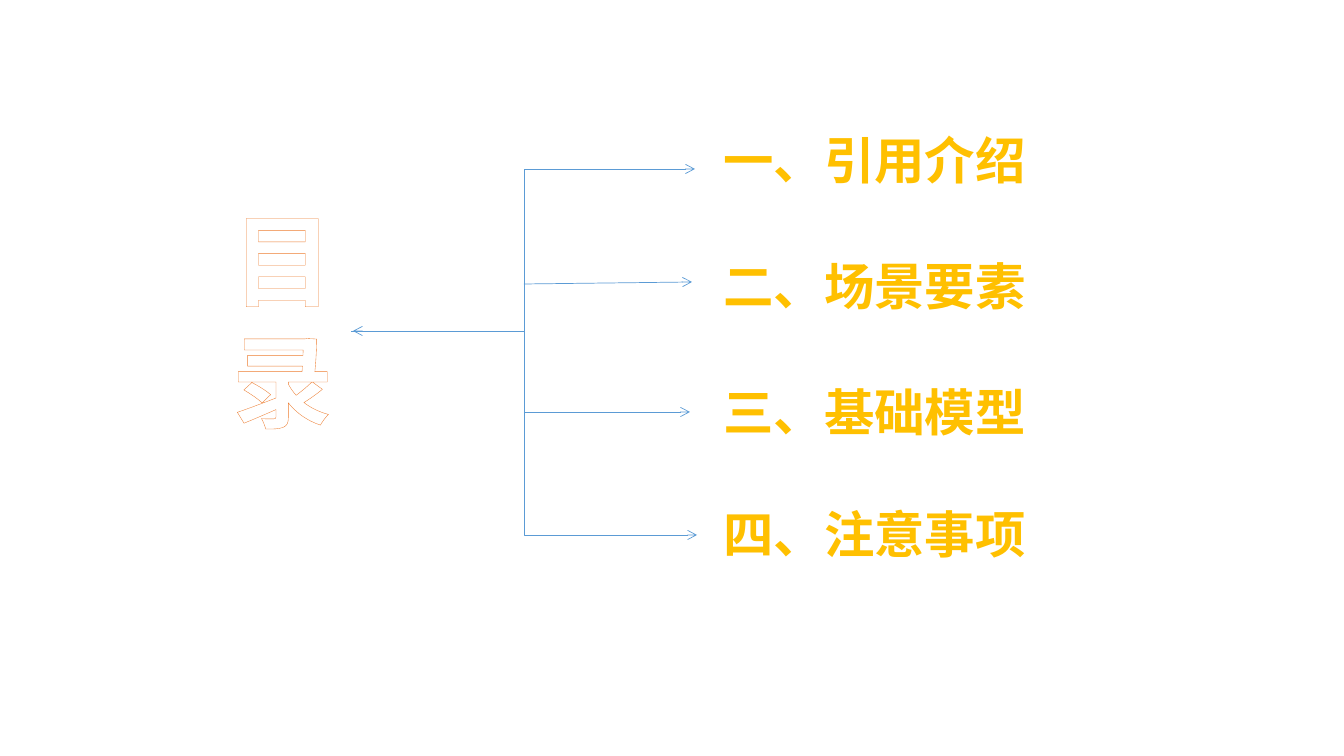
import pptx
import pptx.dml.color
import pptx.enum.shapes
import pptx.enum.text
import pptx.oxml
import pptx.oxml.ns
import pptx.util

PX = 914400 / 100.8
BLUE = pptx.dml.color.RGBColor(0x5B, 0x9B, 0xD5)
GOLD = pptx.dml.color.RGBColor(0xFF, 0xC0, 0x00)
ORANGE = pptx.dml.color.RGBColor(0xED, 0x7D, 0x31)
WHITE = pptx.dml.color.RGBColor(0xFF, 0xFF, 0xFF)

ELBOW = pptx.enum.shapes.MSO_CONNECTOR.ELBOW
STRAIGHT = pptx.enum.shapes.MSO_CONNECTOR.STRAIGHT

FRAME_FORMAT = {
    "word_wrap": False,
    "auto_size": pptx.enum.text.MSO_AUTO_SIZE.SHAPE_TO_FIT_TEXT,
}
TITLE_FONT = {"name": "Calibri", "size": pptx.util.Pt(72), "bold": True}
CHAPTER_FONT = {"name": "Calibri", "size": pptx.util.Pt(36), "bold": True}

TITLE_BOX = (222, 193, 121, 254)
CHAPTER_LEFT, CHAPTER_WIDTH, CHAPTER_HEIGHT = 713, 323, 72
CHAPTERS = [
    ("一、引用介绍", 124),
    ("二、场景要素", 250),
    ("三、基础模型", 376),
    ("四、注意事项", 498),
]

# kind, start x, start y, end x, end y, arrowheads
BRANCHES = [
    (ELBOW, 353, 331, 695, 169, ("headEnd", "tailEnd")),
    (STRAIGHT, 524, 284, 692, 282, ("tailEnd",)),
    (ELBOW, 351, 331, 697, 535, ("tailEnd",)),
    (STRAIGHT, 524, 412, 690, 412, ("tailEnd",)),
]


def emu(*lengths):
    return [pptx.util.Emu(round(length * PX)) for length in lengths]


def apply_format(target, values):
    for attribute, value in values.items():
        setattr(target, attribute, value)


def add_text(slide, box, lines, font_format, color):
    """Add a centred text box with one paragraph per line; return its runs."""
    frame = slide.shapes.add_textbox(*emu(*box)).text_frame
    apply_format(frame, FRAME_FORMAT)
    frame.text = "\n".join(lines)
    runs = []
    for paragraph in frame.paragraphs:
        paragraph.alignment = pptx.enum.text.PP_ALIGN.CENTER
        run = paragraph.runs[0]
        apply_format(run.font, font_format)
        run.font.color.rgb = color
        runs.append(run)
    return runs


def outline_text(run, color, width):
    outline = pptx.oxml.parse_xml(
        f'<a:ln {pptx.oxml.ns.nsdecls("a")} w="{pptx.util.Pt(width)}">'
        f'<a:solidFill><a:srgbClr val="{color}"/></a:solidFill></a:ln>'
    )
    run.font.fill  # rPr exists by now; the outline must precede its fill
    run._r.get_or_add_rPr().insert(0, outline)


def add_branch(slide, kind, start_x, start_y, end_x, end_y, arrowheads):
    branch = slide.shapes.add_connector(kind, *emu(start_x, start_y, end_x, end_y))
    apply_format(branch.line, {"width": pptx.util.Pt(0.5)})
    branch.line.color.rgb = BLUE
    line = branch.line._get_or_add_ln()
    for arrowhead in arrowheads:
        pptx.oxml.ns.qn("a:ln")
        line.append(pptx.oxml.parse_xml(
            f'<a:{arrowhead} {pptx.oxml.ns.nsdecls("a")} type="arrow"/>'
        ))
    branch._element.spPr.append(
        pptx.oxml.parse_xml(f'<a:effectLst {pptx.oxml.ns.nsdecls("a")}/>')
    )


def main():
    deck = pptx.Presentation()
    deck.slide_width, deck.slide_height = emu(1344, 756)
    slide = deck.slides.add_slide(deck.slide_layouts[6])

    for character in add_text(slide, TITLE_BOX, ["目", "录"], TITLE_FONT, WHITE):
        outline_text(character, ORANGE, 0.52)
    for chapter, top in CHAPTERS:
        box = (CHAPTER_LEFT, top, CHAPTER_WIDTH, CHAPTER_HEIGHT)
        add_text(slide, box, [chapter], CHAPTER_FONT, GOLD)
    for branch in BRANCHES:
        add_branch(slide, *branch)

    deck.save("out.pptx")


if __name__ == "__main__":
    main()
